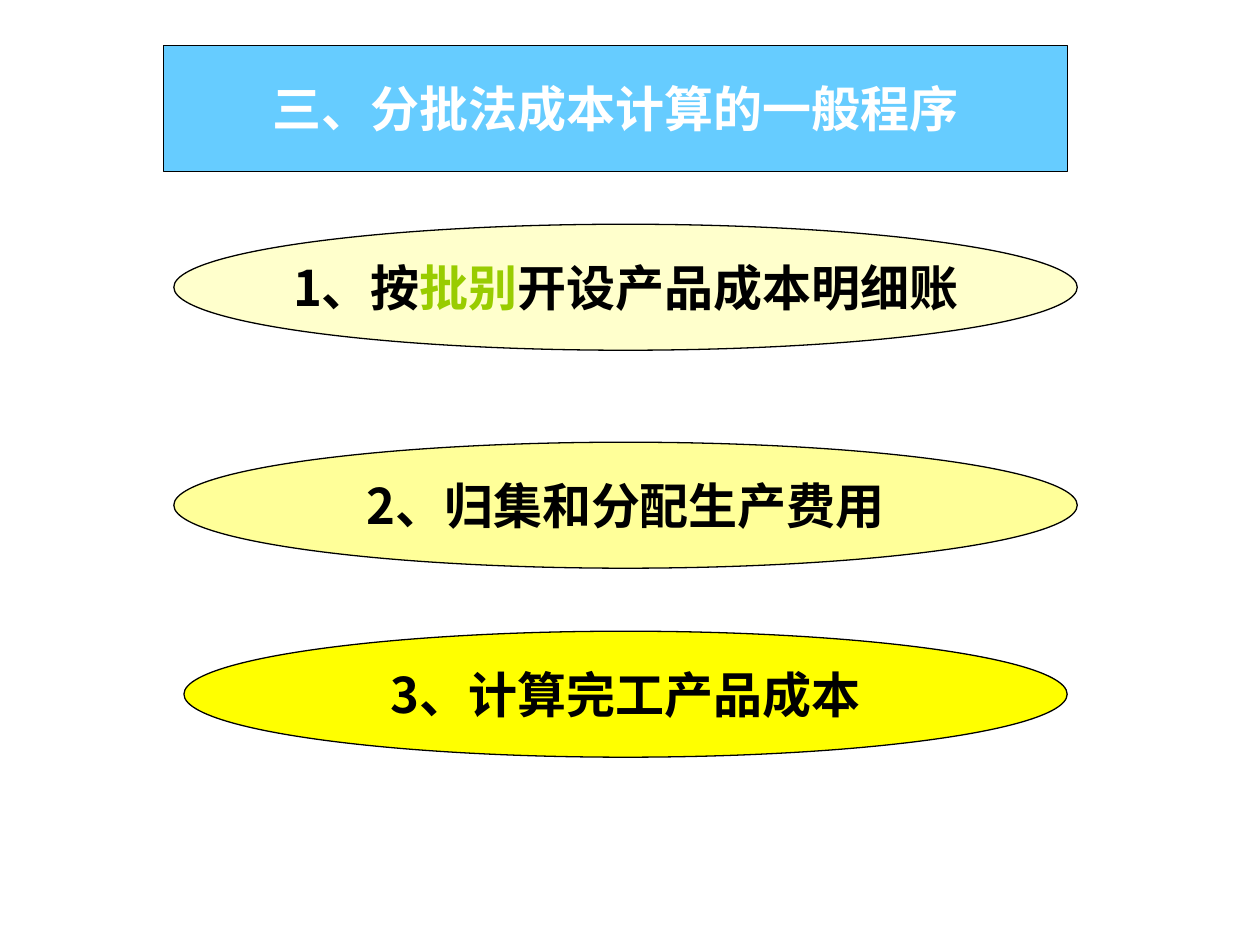
from lxml import etree
from pptx import Presentation
from pptx.dml.color import RGBColor
from pptx.enum import shapes, text
from pptx.oxml.ns import qn
from pptx.util import Pt

BLACK = RGBColor(0x00, 0x00, 0x00)
WHITE = RGBColor(0xFF, 0xFF, 0xFF)
GREEN = RGBColor(0x99, 0xCC, 0x00)
BLUE = RGBColor(0x66, 0xCC, 0xFF)
CREAM = RGBColor(0xFF, 0xFF, 0xCC)
PALE = RGBColor(0xFF, 0xFF, 0x99)
YELLOW = RGBColor(0xFF, 0xFF, 0x00)
SANS = "Noto Sans CJK SC"
SERIF = "Times New Roman"
HIGH = 72

TITLE = "三、分批法成本计算的一般程序"
# left, top, width, fill, runs of (text, colour)
STEPS = [
    (99.36, 128.16, 516.24, CREAM,
     [("1、按", BLACK), ("批别", GREEN), ("开设产品成本明细账", BLACK)]),
    (99.36, 252.72, 516.24, PALE, [("2、归集和分配生产费用", BLACK)]),
    (105.12, 360.72, 504.72, YELLOW, [("3、计算完工产品成本", BLACK)]),
]


def write(shape, runs, font=SANS, size=28, bold=True):
    frame = shape.text_frame
    frame.word_wrap = False
    frame.auto_size = text.MSO_AUTO_SIZE.NONE
    frame.vertical_anchor = text.MSO_ANCHOR.MIDDLE
    para = frame.paragraphs[0]
    para.alignment = text.PP_ALIGN.CENTER
    for words, color in runs:
        run = para.add_run()
        run.text = words
        run.font.name = font
        run.font.size = Pt(size)
        run.font.bold = bold
        run.font.color.rgb = color
        # East Asian letters take their font from a:ea
        east = etree.SubElement(run.font._element, qn("a:ea"))
        east.set("typeface", SANS)


def paint(shape, fill):
    shape.shadow.inherit = False
    shape.fill.solid()
    shape.fill.fore_color.rgb = fill
    shape.line.color.rgb = BLACK
    shape.line.width = Pt(0.75)


def main():
    deck = Presentation()
    deck.slide_width, deck.slide_height = Pt(720), Pt(540)
    slide = deck.slides.add_slide(deck.slide_layouts[5])

    title = slide.shapes.title
    title.left, title.top = Pt(93.6), Pt(25.92)
    title.width, title.height = Pt(516.24), Pt(HIGH)
    geom = etree.SubElement(title.element.spPr, qn("a:prstGeom"), prst="ellipse")
    etree.SubElement(geom, qn("a:avLst"))
    paint(title, BLUE)
    write(title, [(TITLE, WHITE)], font=SERIF)

    for left, top, width, fill, runs in STEPS:
        oval = slide.shapes.add_shape(
            shapes.MSO_SHAPE.OVAL, Pt(left), Pt(top), Pt(width), Pt(HIGH))
        paint(oval, fill)
        write(oval, runs)

    deck.save("out.pptx")


if __name__ == "__main__":
    main()
